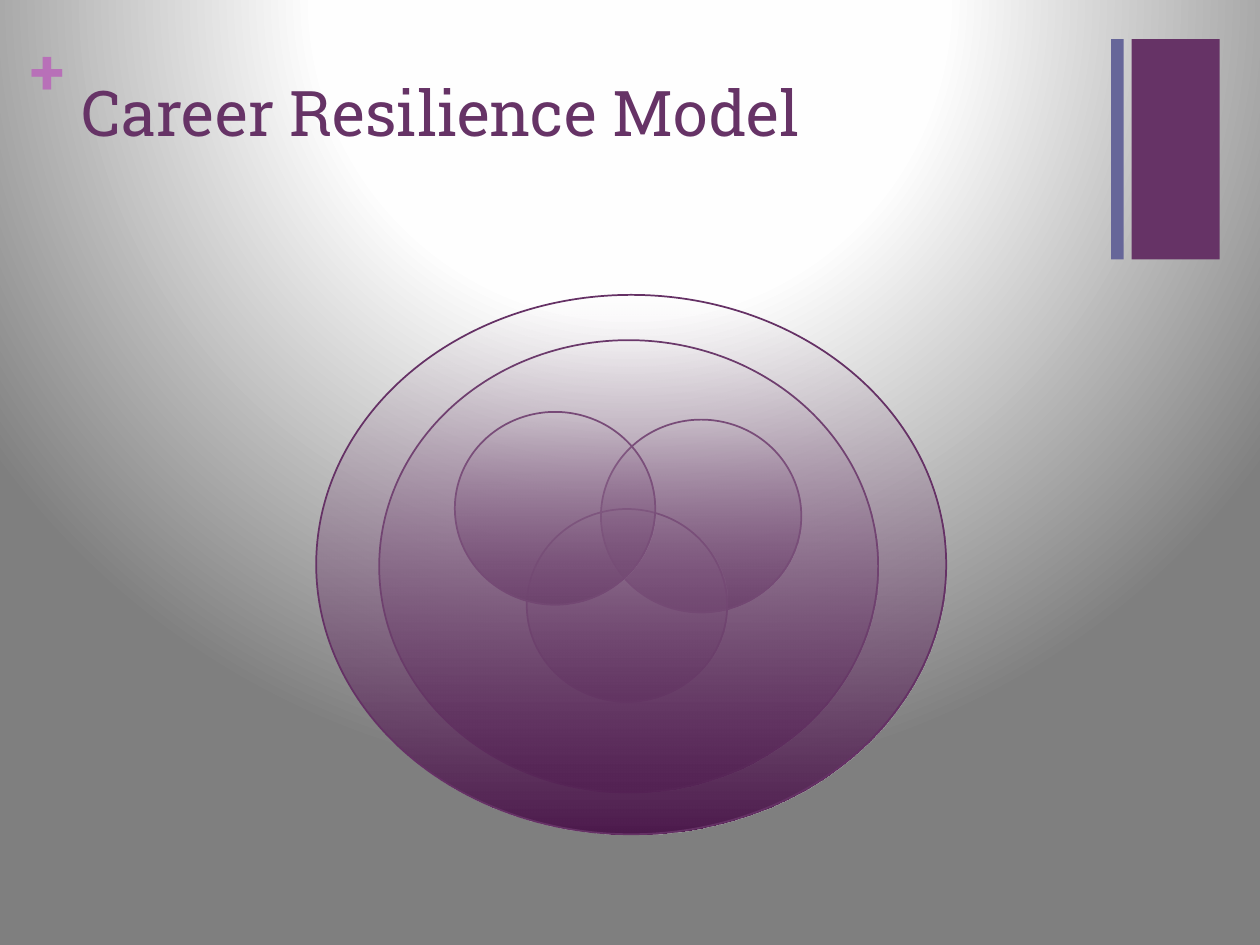
import pptx
import pptx.util
import pptx.dml.color
import pptx.enum.shapes
import pptx.enum.text
import pptx.oxml
import pptx.oxml.ns

Pt = pptx.util.Pt
RGBColor = pptx.dml.color.RGBColor
SHAPES = pptx.enum.shapes.MSO_SHAPE

PLUM = RGBColor(0x66, 0x33, 0x66)
SLATE = RGBColor(0x66, 0x66, 0x99)
ORCHID = RGBColor(0xB8, 0x70, 0xB8)
OUTLINE = RGBColor(0x65, 0x31, 0x65)
MAUVE = RGBColor(0xAF, 0x94, 0xAF)
DARK_PLUM = RGBColor(0x4D, 0x1A, 0x4D)
WHITE = RGBColor(0xFF, 0xFF, 0xFF)
NEAR_WHITE = RGBColor(0xFE, 0xFE, 0xFE)
GRAY = RGBColor(0x7F, 0x7F, 0x7F)

FONT = "Roboto Slab"

# Boxes are left, top, width, height in points.
TEXTS = [
    ("+", (17.3, 18, 20.9, 43.9), 0, ORCHID, True),
    ("Career Resilience Model", (39.6, 38.2, 594.7, 87.8), None, PLUM, False),
]
BARS = [
    ((646.6, 22.3, 50.4, 126), PLUM),
    ((635, 22.3, 7.2, 126), SLATE),
]
CIRCLE_SIZE = (114.5, 110.2)
CIRCLE_CORNERS = [(343.4, 239.8), (301, 290.9), (259.9, 235.4)]
RINGS = [
    (216.7, 194.4, 285.1, 258.5),
    (180.7, 168.5, 360, 308.2),
]

# Stops are position in percent, colour, opacity in percent.
BACKDROP_STOPS = [(0, WHITE, 100), (40, NEAR_WHITE, 100), (100, GRAY, 100)]
BACKDROP_SHADE = (
    '<a:path path="circle">'
    '<a:fillToRect l="50000" t="-80000" r="50000" b="180000"/></a:path>'
)
ELLIPSE_STOPS = [(0, MAUVE, 0), (100, DARK_PLUM, 100)]
ELLIPSE_SHADE = '<a:lin ang="5400000" scaled="0"/>'


def set_gradient(fill, parent, stops, shade):
    """Swap the solid fill under parent for a gradient with the given shade."""
    fill.solid()
    solid = parent.find(pptx.oxml.ns.qn("a:solidFill"))
    stop_xml = "".join(
        f'<a:gs pos="{position * 1000}"><a:srgbClr val="{color}">'
        f'<a:alpha val="{opacity * 1000}"/></a:srgbClr></a:gs>'
        for position, color, opacity in stops
    )
    gradient = pptx.oxml.parse_xml(
        f'<a:gradFill {pptx.oxml.ns.nsdecls("a")} rotWithShape="1">'
        f"<a:gsLst>{stop_xml}</a:gsLst>{shade}</a:gradFill>"
    )
    parent.replace(solid, gradient)


def add_bar(slide, box, color):
    bar = slide.shapes.add_shape(SHAPES.RECTANGLE, *map(Pt, box))
    bar.shadow.inherit = False
    bar.fill.solid()
    bar.fill.fore_color.rgb = color
    bar.line.fill.background()


def add_text(slide, text, box, inset, color, bold):
    frame = slide.shapes.add_textbox(*map(Pt, box)).text_frame
    frame.word_wrap = True
    frame.vertical_anchor = pptx.enum.text.MSO_ANCHOR.TOP
    if inset is not None:
        frame.margin_left = frame.margin_right = Pt(inset)
        frame.margin_top = frame.margin_bottom = Pt(inset)
    line = frame.paragraphs[0]
    line.text = text
    line.font.name = FONT
    line.font.size = Pt(36)
    line.font.bold = bold
    line.font.color.rgb = color


def add_ellipse(slide, box):
    ellipse = slide.shapes.add_shape(SHAPES.OVAL, *map(Pt, box))
    ellipse.shadow.inherit = False
    set_gradient(ellipse.fill, ellipse.element.spPr, ELLIPSE_STOPS, ELLIPSE_SHADE)
    ellipse.line.color.rgb = OUTLINE
    ellipse.line.width = Pt(1)


def main():
    deck = pptx.Presentation()
    deck.slide_width, deck.slide_height = Pt(720), Pt(540)
    slide = deck.slides.add_slide(deck.slide_layouts[6])

    backdrop = slide.background.fill
    backdrop.solid()
    backdrop_parent = next(slide.element.iter(pptx.oxml.ns.qn("p:bgPr")))
    set_gradient(backdrop, backdrop_parent, BACKDROP_STOPS, BACKDROP_SHADE)

    for box, color in BARS:
        add_bar(slide, box, color)
    for text in TEXTS:
        add_text(slide, *text)
    for box in [corner + CIRCLE_SIZE for corner in CIRCLE_CORNERS] + RINGS:
        add_ellipse(slide, box)

    deck.save("out.pptx")


if __name__ == "__main__":
    main()
